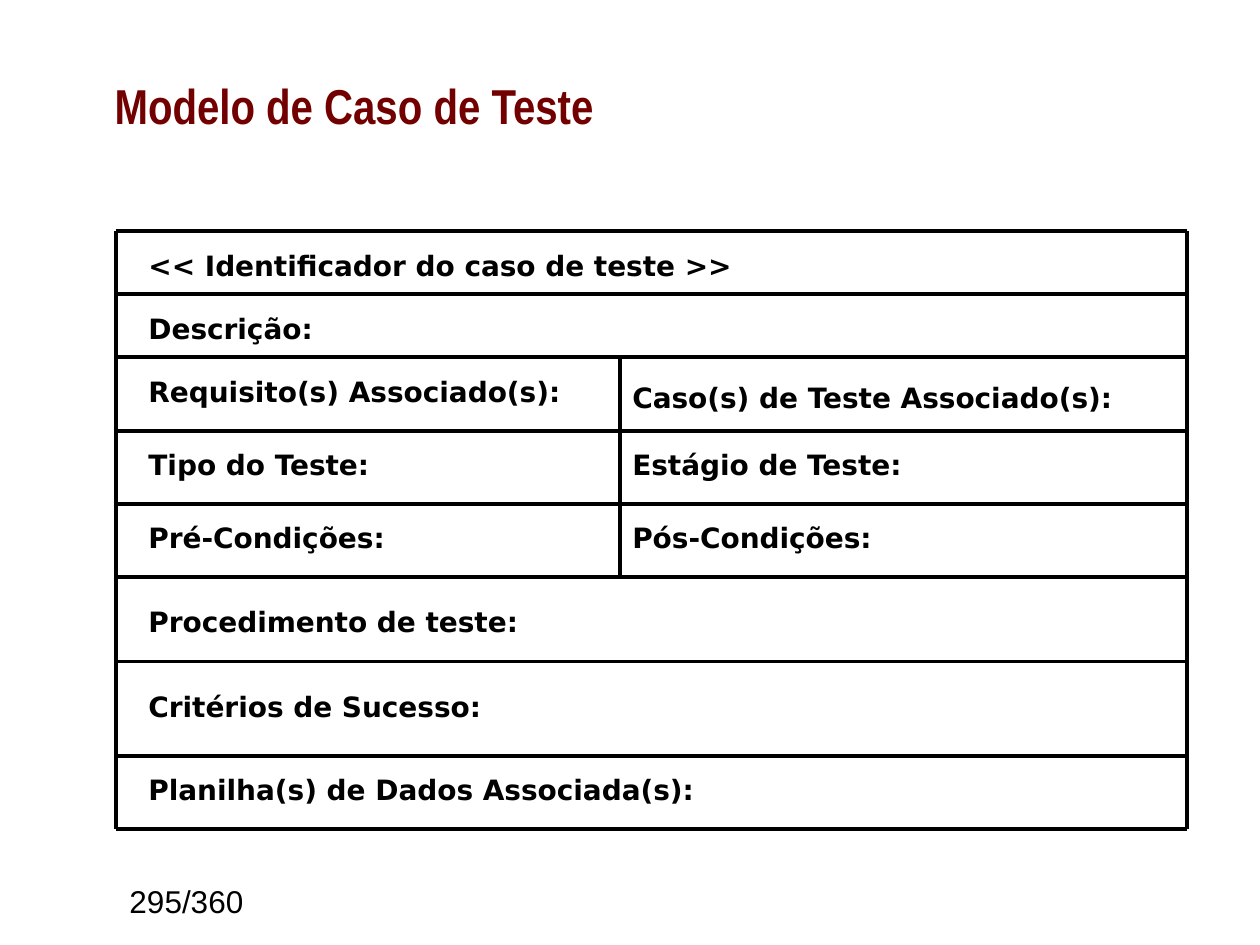
"""Build the test case template slide."""
from lxml import etree
from pptx import Presentation
from pptx.dml.color import RGBColor
from pptx.enum import shapes, text
from pptx.oxml.ns import qn
from pptx.util import Inches, Pt

TITLE = "Modelo de Caso de Teste"
PAGE = "295/360"
ROW_EDGES = [1.83, 2.33, 2.83, 3.42, 4, 4.58, 5.25, 6, 6.58]
LEFT, MIDDLE, RIGHT = 0.92, 4.92, 9.42
SPLIT_ROWS = (2, 5)
LEFT_TEXT, FULL_W, HALF_W, RIGHT_W, LABEL_H = 1.08, 4.94, 3.75, 4.5, 0.42
ROWS = [
    [("<< Identificador do caso de teste >>", 1.92)],
    [("Descrição:", 2.42)],
    [("Requisito(s) Associado(s):", 2.92), ("Caso(s) de Teste Associado(s):", 2.97)],
    [("Tipo do Teste:", 3.5), ("Estágio de Teste:", 3.5)],
    [("Pré-Condições:", 4.08), ("Pós-Condições:", 4.08)],
    [("Procedimento de teste:", 4.75)],
    [("Critérios de Sucesso:", 5.42)],
    [("Planilha(s) de Dados Associada(s):", 6.08)],
]
THEME = {
    "title": {"name": "Arial Narrow", "size": Pt(28), "bold": True, "color": "720000"},
    "label": {"name": "DejaVu Sans", "size": Pt(16), "bold": True, "color": "000000"},
    "page": {"name": "Arial", "size": Pt(18), "bold": False, "color": "000000"},
    "line": {"width": Pt(2.25), "color": "000000"},
}


def write(sp, words, style, align=text.PP_ALIGN.LEFT, anchor=text.MSO_ANCHOR.TOP):
    tf = sp.text_frame
    tf.word_wrap = True
    tf.auto_size = text.MSO_AUTO_SIZE.NONE
    tf.vertical_anchor = anchor
    p = tf.paragraphs[0]
    p.alignment = align
    r = p.add_run()
    r.text = words
    for key, value in THEME[style].items():
        if key == "color":
            r.font.color.rgb = RGBColor.from_string(value)
        else:
            setattr(r.font, key, value)


def add_text(s, box, words, style, **layout):
    write(s.shapes.add_textbox(*map(Inches, box)), words, style, **layout)


def add_line(s, *ends):
    sp = s.shapes.add_connector(shapes.MSO_CONNECTOR.STRAIGHT, *map(Inches, ends))
    sp.line.width = THEME["line"]["width"]
    sp.line.color.rgb = RGBColor.from_string(THEME["line"]["color"])
    etree.SubElement(sp._element.spPr, qn("a:effectLst"))


def main():
    prs = Presentation()
    prs.slide_width, prs.slide_height = Inches(10), Inches(7.5)
    s = prs.slides.add_slide(prs.slide_layouts[5])
    title = s.shapes.title
    for key, value in {"left": 0.81, "top": 0.21, "width": 7.97, "height": 1.25}.items():
        setattr(title, key, Inches(value))
    write(title, TITLE, "title", anchor=text.MSO_ANCHOR.MIDDLE)

    for y in ROW_EDGES:
        add_line(s, LEFT, y, RIGHT, y)
    for x in (LEFT, RIGHT):
        add_line(s, x, ROW_EDGES[0], x, ROW_EDGES[-1])
    first, last = SPLIT_ROWS
    add_line(s, MIDDLE, ROW_EDGES[first], MIDDLE, ROW_EDGES[last])

    for row in ROWS:
        columns = [(LEFT_TEXT, FULL_W if len(row) == 1 else HALF_W), (MIDDLE, RIGHT_W)]
        for (words, top), (left, width) in zip(row, columns):
            add_text(s, (left, top, width, LABEL_H), words, "label")
    add_text(s, (0.86, 6.95, 1.17, 0.39), PAGE, "page", align=text.PP_ALIGN.RIGHT)
    prs.save("out.pptx")


if __name__ == "__main__":
    main()
